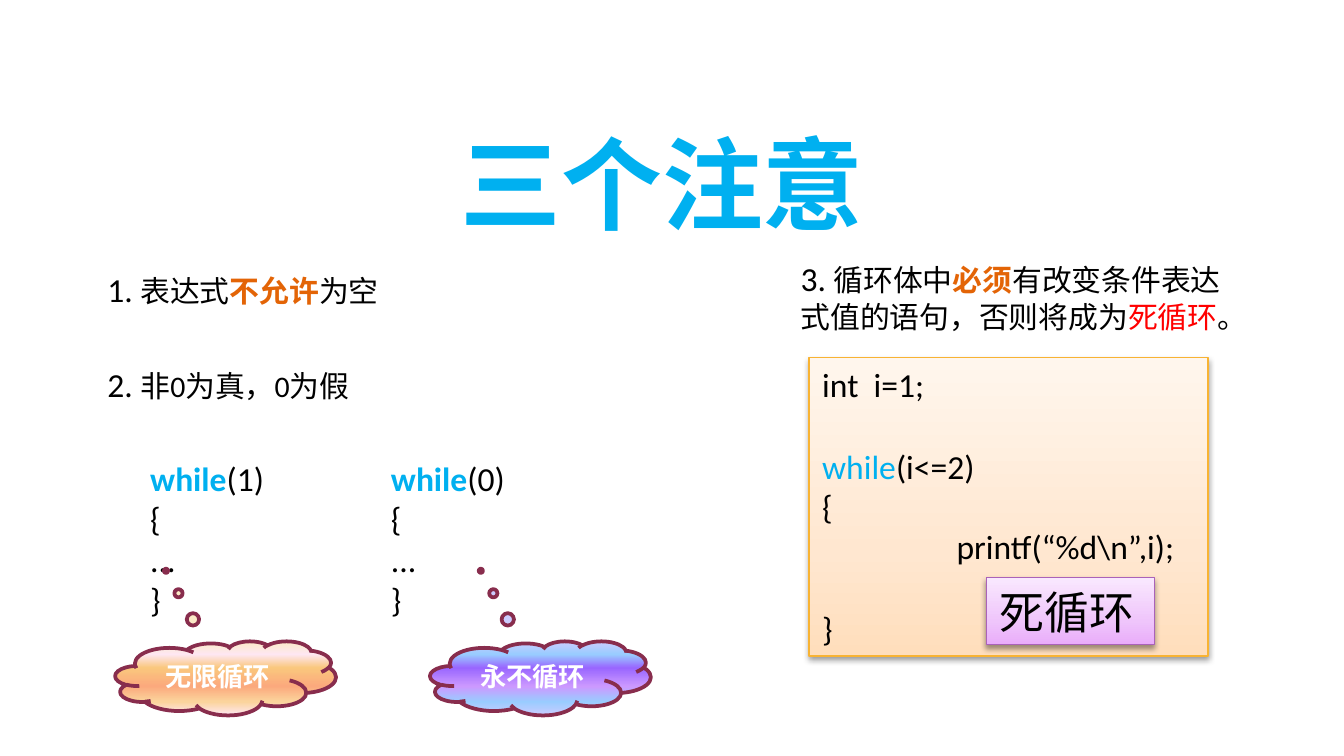
from lxml import etree
from pptx import Presentation
from pptx.dml.color import RGBColor
from pptx.enum.shapes import MSO_SHAPE
from pptx.enum.text import MSO_ANCHOR, MSO_AUTO_SIZE, PP_ALIGN
from pptx.oxml.ns import qn
from pptx.util import Cm, Pt

RECT, CLOUD = MSO_SHAPE.RECTANGLE, MSO_SHAPE.CLOUD_CALLOUT
TOP, MIDDLE = MSO_ANCHOR.TOP, MSO_ANCHOR.MIDDLE
LEFT, CENTER = PP_ALIGN.LEFT, PP_ALIGN.CENTER
GROW, FIXED = MSO_AUTO_SIZE.SHAPE_TO_FIT_TEXT, MSO_AUTO_SIZE.NONE

# Text styles: font, size, colour, bold
LATIN, HAN = "Calibri", "Noto Sans CJK SC"
THEME = {
    "title": ("Noto Sans CJK JP", 54, "00B0F0", True),
    "num": (LATIN, 18, "000000", False),
    "body": (HAN, 16, "000000", False),
    "digit": (LATIN, 16, "000000", False),
    "strong": (HAN, 16, "E36406", True),
    "alert": (HAN, 16, "FF0000", False),
    "code": (LATIN, 18, "000000", False),
    "key": (LATIN, 18, "00B0F0", False),
    "keybold": (LATIN, 18, "00B0F0", True),
    "cloud": (LATIN, 14, "FFFFFF", True),
    "tag": (HAN, 24, "000000", False),
}
# Panels: line colour, line width, gradient angle, gradient stops
PANELS = {
    "peach": ("F8B333", 0.75, 270, [(0, "FFDEBC"), (35, "FFE7D0"), (100, "FFF6ED")]),
    "pink": ("AA62B9", 0.75, 270, [(0, "E9ACFA"), (35, "EFC5FB"), (100, "F9E8FE")]),
    "warm": ("882D4D", 2, 90, [(0, "FBEAC7"), (18, "FEE7F2"), (36, "FAC77D"),
                               (61, "FBA97D"), (82, "FBD49C"), (100, "FEE7F2")]),
    "cool": ("882D4D", 2, 90, [(0, "CCCCFF"), (18, "99CCFF"), (36, "9966FF"),
                               (61, "CC99FF"), (82, "99CCFF"), (100, "CCCCFF")]),
}
GAP = 22  # one skipped code line, in points

# Content: a line is a list of (text, style) runs
TITLE = [[("三个注意", "title")]]
NOTES = [
    ((1.78, 4.95, 7.14, 1.02),
     [("1. ", "num"), ("表达式", "body"), ("不允许", "strong"), ("为空", "body")]),
    ((1.78, 6.76, 7.14, 1.02),
     [("2. ", "num"), ("非", "body"), ("0", "digit"), ("为真，", "body"),
      ("0", "digit"), ("为假", "body")]),
    ((14.88, 4.75, 8.74, 1.7),
     [("3. ", "num"), ("循环体中", "body"), ("必须", "strong"),
      ("有改变条件表达式值的语句，否则将成为", "body"),
      ("死循环", "alert"), ("。", "body")]),
]
LOOPS = [  # code left, test, cloud left, cloud text, panel
    (2.59, "(1)", 2.18, "无限循环", "warm"),
    (7.14, "(0)", 8.13, "永不循环", "cool"),
]
CODE = [
    [("int  i=1;", "code")],
    [("while", "key"), ("(i<=2)", "code")],
    [("{", "code")],
    [("\tprintf(“%d\\n”,i);", "code")],
    [("}", "code")],
]
SKIPS = {1, 4}  # code lines that follow a skipped line
TAG = [[("死循环", "tag")]]


def write(shape, lines, align=LEFT, anchor=TOP, fit=GROW, skips=()):
    frame = shape.text_frame
    frame.word_wrap = True
    frame.auto_size = fit
    frame.vertical_anchor = anchor
    for i, line in enumerate(lines):
        para = frame.paragraphs[0] if i == 0 else frame.add_paragraph()
        para.alignment = align
        if i in skips:
            para.space_before = Pt(GAP)
        if line[0][0].startswith("\t"):
            tabs = etree.SubElement(para._p.get_or_add_pPr(), qn("a:tabLst"))
            etree.SubElement(tabs, qn("a:tab"), pos=str(Cm(2.54)), algn="l")
        for text, style in line:
            name, size, color, bold = THEME[style]
            run = para.add_run()
            run.text = text
            font = run.font
            font.name, font.size, font.bold = name, Pt(size), bold
            font.color.rgb = RGBColor.from_string(color)
            etree.SubElement(run._r.get_or_add_rPr(), qn("a:ea"), typeface=name)


def add_text(slide, box, lines, align=LEFT):
    write(slide.shapes.add_textbox(*map(Cm, box)), lines, align)


def add_color(parent, color):
    return etree.SubElement(parent, qn("a:srgbClr"), val=color)


def add_panel(slide, kind, box, look, shade=False):
    edge, width, angle, stops = PANELS[look]
    shape = slide.shapes.add_shape(kind, *map(Cm, box))
    shape.line.color.rgb = RGBColor.from_string(edge)
    shape.line.width = Pt(width)
    shape.shadow.inherit = False
    # Gradient takes the place of an empty fill
    shape.fill.background()
    props = shape._element.spPr
    grad = etree.Element(qn("a:gradFill"), rotWithShape="1")
    group = etree.SubElement(grad, qn("a:gsLst"))
    for pos, color in stops:
        add_color(etree.SubElement(group, qn("a:gs"), pos=str(pos * 1000)), color)
    etree.SubElement(grad, qn("a:lin"), ang=str(angle * 60000), scaled="0")
    props.replace(props.find(qn("a:noFill")), grad)
    if shade:
        drop = etree.SubElement(
            props.find(qn("a:effectLst")), qn("a:outerShdw"), blurRad=str(Pt(3.1)),
            dist=str(Pt(1.6)), dir="5400000", rotWithShape="0")
        etree.SubElement(add_color(drop, "000000"), qn("a:alpha"), val="38000")
    return shape


def main():
    deck = Presentation()
    deck.slide_width, deck.slide_height = Cm(25.4), Cm(14.29)
    slide = deck.slides.add_slide(deck.slide_layouts[6])

    # Title and notes
    add_text(slide, (5.77, 2.18, 13.49, 2.57), TITLE, CENTER)
    for box, line in NOTES:
        add_text(slide, box, [line])

    # Short loops
    for left, test, *_ in LOOPS:
        head = [("while", "keybold"), (test, "code")]
        rest = [[(text, "code")] for text in ("{", "...", "}")]
        add_text(slide, (left, 8.53, 4.95, 3.33), [head] + rest)

    # Code panel
    panel = add_panel(slide, RECT, (15.29, 6.76, 7.54, 5.64), "peach", True)
    write(panel, CODE, skips=SKIPS)

    # Thought clouds
    for _, _, left, text, look in LOOPS:
        cloud = add_panel(slide, CLOUD, (left, 12.12, 4.17, 1.4), look)
        cloud.adjustments[0], cloud.adjustments[1] = -0.27, -1.45
        write(cloud, [[(text, "cloud")]], CENTER, MIDDLE, FIXED)

    # Tag on the code panel
    write(add_panel(slide, RECT, (18.64, 10.92, 3.18, 1.27), "pink", True), TAG)

    deck.save("out.pptx")


if __name__ == "__main__":
    main()
